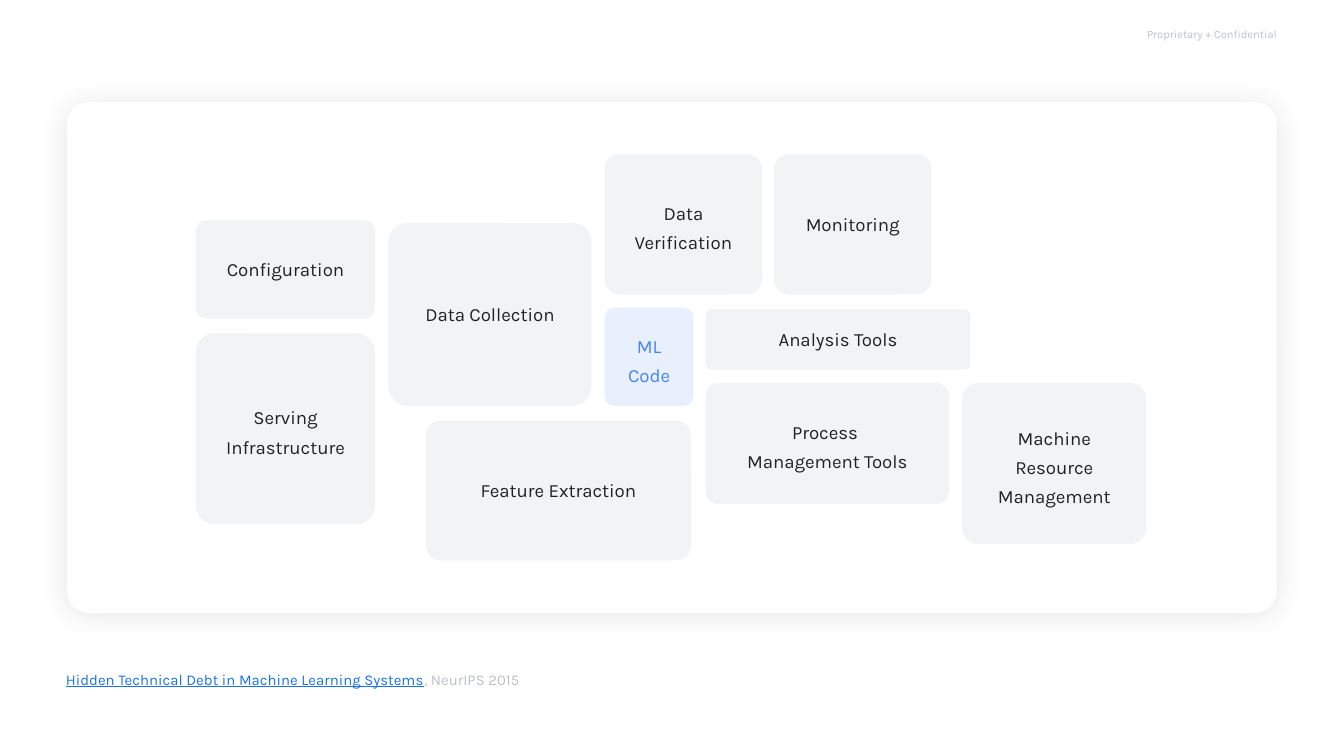
import pptx
import pptx.dml.color
import pptx.enum.shapes
import pptx.enum.text
import pptx.oxml
import pptx.oxml.ns
import pptx.util

Inches = pptx.util.Inches
Pt = pptx.util.Pt
ALIGN = pptx.enum.text.PP_ALIGN
ANCHOR = pptx.enum.text.MSO_ANCHOR
ROUND = pptx.enum.shapes.MSO_SHAPE.ROUNDED_RECTANGLE

WIDE = Inches(10)
HIGH = WIDE * 9 // 16

BLUE = {"fill": "E8F0FE", "ink": "4285F4"}
GRAY = {"fill": "F1F3F4", "ink": "202124"}

BLOCKS = [
    ("ML Code", (4.5, 2.29, 0.66, 0.73), 1.3, BLUE),
    ("Data Collection", (2.89, 1.66, 1.51, 1.36), 1, GRAY),
    ("Data Verification", (4.5, 1.15, 1.17, 1.04), 1.3, GRAY),
    ("Monitoring", (5.76, 1.15, 1.17, 1.04), 1, GRAY),
    ("Feature Extraction", (3.17, 3.13, 1.97, 1.04), 1, GRAY),
    ("Configuration", (1.46, 1.64, 1.33, 0.73), 1, GRAY),
    ("Serving Infrastructure", (1.46, 2.48, 1.33, 1.42), 1.3, GRAY),
    ("Process \nManagement Tools", (5.25, 2.85, 1.81, 0.9), 1.3, GRAY),
    ("Analysis Tools", (5.25, 2.3, 1.97, 0.45), 1, GRAY),
    ("Machine Resource Management", (7.16, 2.85, 1.37, 1.2), 1.3, GRAY),
]


def color(code):
    return pptx.dml.color.RGBColor.from_string(code)


def apply(item, form):
    for name, value in form.items():
        setattr(item, name, value)


def style(font, size, ink, line=False):
    apply(font, {"name": "Karla", "size": Pt(size), "underline": line})
    font.color.rgb = color(ink)


def frame(shape, inset, anchor):
    box = shape.text_frame
    sides = ("left", "right", "top", "bottom")
    apply(box, {f"margin_{side}": Inches(inset) for side in sides})
    apply(box, {"word_wrap": True, "vertical_anchor": anchor})
    return box


def add_round(slide, place, fill, curve):
    shape = slide.shapes.add_shape(ROUND, *map(Inches, place))
    shape.adjustments[0] = curve
    shape.shadow.inherit = False
    shape.fill.solid()
    shape.fill.fore_color.rgb = color(fill)
    shape.line.fill.background()
    return shape


def add_card(slide):
    card = add_round(slide, (0.5, 0.76, 9, 3.8), "FFFFFF", 0.041)
    shade = pptx.oxml.parse_xml(
        f'<a:outerShdw {pptx.oxml.ns.nsdecls("a")} blurRad="{Pt(15.8)}" '
        f'dist="{Pt(1.5)}" dir="5400000" algn="bl" rotWithShape="0">'
        '<a:srgbClr val="000000"><a:alpha val="10000"/></a:srgbClr>'
        '</a:outerShdw>'
    )
    card._element.spPr.find(pptx.oxml.ns.qn("a:effectLst")).append(shade)


def add_block(slide, text, place, space, look):
    shape = add_round(slide, place, look["fill"], 0.103)
    box = frame(shape, 0.1, ANCHOR.MIDDLE)
    box.text = text
    for para in box.paragraphs:
        apply(para, {"alignment": ALIGN.CENTER, "line_spacing": space})
        style(para.runs[0].font, 10, look["ink"])


def add_note(slide, place, anchor, align, size, parts):
    shape = slide.shapes.add_textbox(*map(Inches, place))
    para = frame(shape, 0, anchor).paragraphs[0]
    para.alignment = align
    for text, ink, line in parts:
        run = para.add_run()
        run.text = text
        style(run.font, size, ink, line)


def main():
    deck = pptx.Presentation()
    apply(deck, {"slide_width": WIDE, "slide_height": HIGH})
    slide = deck.slides.add_slide(deck.slide_layouts[6])
    add_note(slide, (7.4, 0, 2.1, 0.5), ANCHOR.MIDDLE, ALIGN.RIGHT, 6,
             [("Proprietary + Confidential", "BDC1C6", False)])
    add_card(slide)
    add_note(slide, (0.49, 4.91, 4.46, 0.21), ANCHOR.BOTTOM, ALIGN.LEFT, 8,
             [("Hidden Technical Debt in Machine Learning Systems",
               "1A73E8", True),
              (", NeurIPS 2015", "BDC1C6", False)])
    for block in BLOCKS:
        add_block(slide, *block)
    deck.save("out.pptx")


if __name__ == "__main__":
    main()
